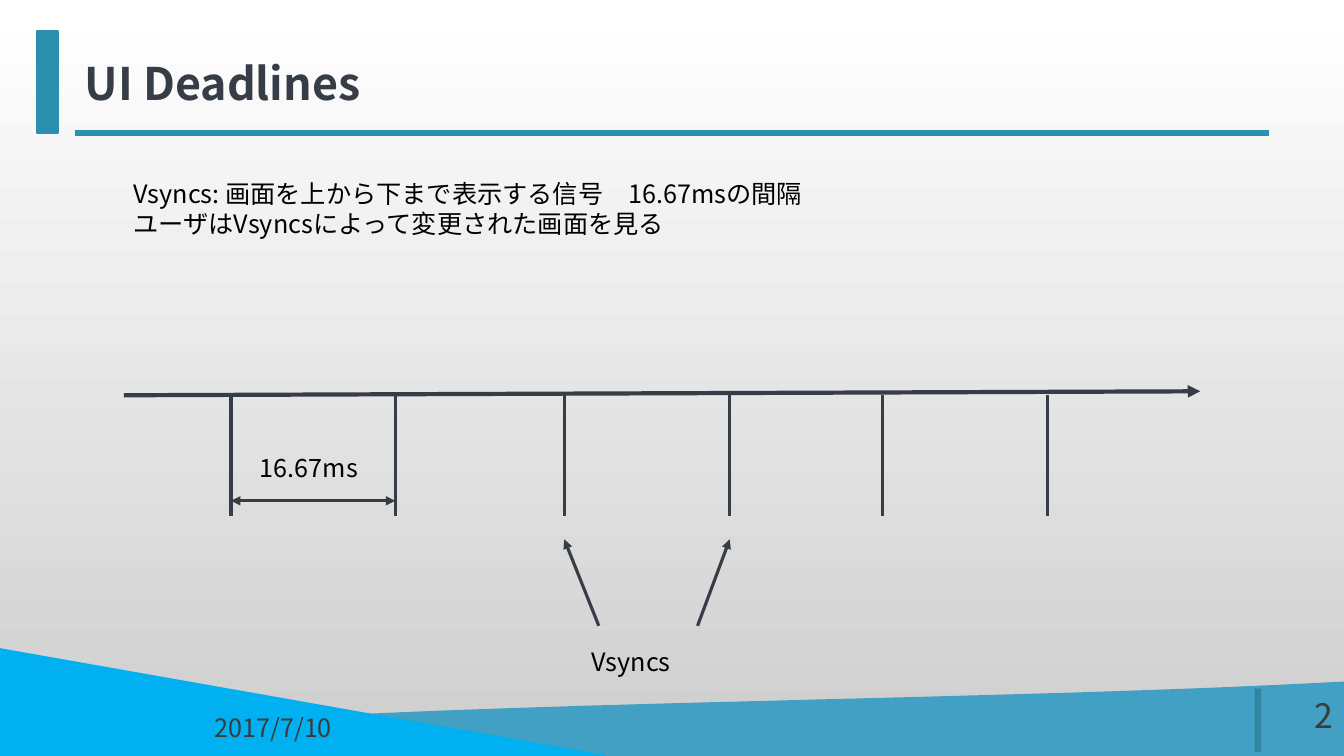
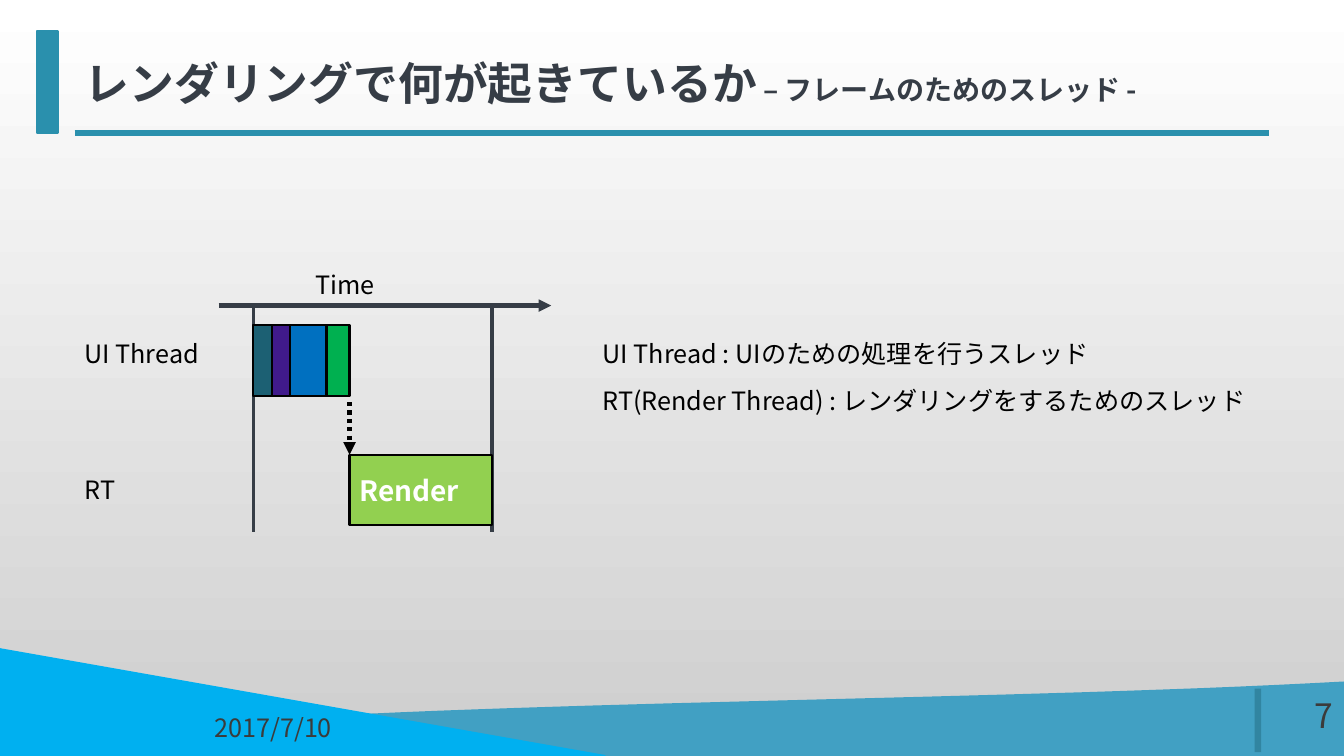
import pptx
import pptx.dml.color
import pptx.enum.dml
import pptx.enum.shapes
import pptx.enum.text
import pptx.oxml
import pptx.oxml.ns
import pptx.util
from pptx.util import Cm

FONT = "Noto Sans CJK JP"
COLORS = {
    "ink": "363D46",
    "black": "000000",
    "white": "FFFFFF",
    "footer": "3B3B3B",
    "background end": "CECECE",
    "accent": "2A90AD",
    "wave": "41A0C3",
    "corner": "00B0F0",
    "deep teal": "1C6073",
    "purple": "401A8B",
    "blue": "0070C0",
    "green": "00B050",
    "lime": "92D050",
}
SHAPES = pptx.enum.shapes.MSO_SHAPE
ALIGN = pptx.enum.text.PP_ALIGN
ANCHOR = pptx.enum.text.MSO_ANCHOR
AUTO_SIZE = pptx.enum.text.MSO_AUTO_SIZE


def rgb(color):
    return pptx.dml.color.RGBColor.from_string(COLORS[color])


def add_element(parent, tag, **attributes):
    element = pptx.oxml.parse_xml(f"<{tag} {pptx.oxml.ns.nsdecls('a')}/>")
    for name, value in attributes.items():
        element.set(name, value)
    parent.append(element)


def style_paragraph(paragraph, size, color, bold=False, align=ALIGN.LEFT):
    paragraph.alignment = align
    font = paragraph.font
    font.size = pptx.util.Pt(size)
    font.bold = bold
    font.color.rgb = rgb(color)
    font.name = FONT
    add_element(font._element, "a:ea", typeface=FONT)


def paint(shape, fill, line):
    shape.shadow.inherit = False
    shape.fill.solid()
    shape.fill.fore_color.rgb = rgb(fill)
    shape.line.color.rgb = rgb(line)
    shape.line.width = pptx.util.Pt(1.5)


def add_box(slide, kind, left, top, width, height, fill, line):
    shape = slide.shapes.add_shape(kind, Cm(left), Cm(top), Cm(width), Cm(height))
    paint(shape, fill, line)
    return shape


def add_line(slide, start, end, width=2.25, color="ink", head=False, tail=False,
             dash=None, opacity=None):
    connector = slide.shapes.add_connector(
        pptx.enum.shapes.MSO_CONNECTOR.STRAIGHT,
        Cm(start[0]), Cm(start[1]), Cm(end[0]), Cm(end[1]))
    line = connector.line
    line.color.rgb = rgb(color)
    line.width = pptx.util.Pt(width)
    if dash:
        line.dash_style = dash
    properties = connector._element.spPr
    outline = properties.find(pptx.oxml.ns.qn("a:ln"))
    if opacity:
        color_element = outline.find(".//" + pptx.oxml.ns.qn("a:srgbClr"))
        add_element(color_element, "a:alpha", val=str(opacity * 1000))
    if head:
        add_element(outline, "a:headEnd", type="triangle")
    if tail:
        add_element(outline, "a:tailEnd", type="triangle")
    add_element(properties, "a:effectLst")


def add_text(slide, left, top, width, lines, height=1.02, size=18, color="black",
             align=ALIGN.LEFT, anchor=ANCHOR.TOP, grow=True):
    box = slide.shapes.add_textbox(Cm(left), Cm(top), Cm(width), Cm(height))
    frame = box.text_frame
    frame.word_wrap = True
    frame.auto_size = AUTO_SIZE.SHAPE_TO_FIT_TEXT if grow else AUTO_SIZE.NONE
    frame.vertical_anchor = anchor
    frame.text = "\n".join(lines)
    for paragraph in frame.paragraphs:
        style_paragraph(paragraph, size, color, align=align)


def add_wave(slide):
    right, bottom, steps = 33.87, 19.05, 40
    controls = [(right, 17.2), (22.58, 17.83), (3.3, 17.65), (0.03, bottom)]
    weights = [1, 3, 3, 1]
    points = []
    for step in range(steps + 1):
        t = step / steps
        factors = [weight * t ** i * (1 - t) ** (3 - i) for i, weight in enumerate(weights)]
        points.append(tuple(
            Cm(sum(factor * control[axis] for factor, control in zip(factors, controls)))
            for axis in (0, 1)))
    builder = slide.shapes.build_freeform(Cm(right), Cm(bottom))
    builder.add_line_segments(points, close=True)
    paint(builder.convert_to_shape(), "wave", "wave")


def set_title(slide, text, small_runs):
    title = slide.shapes.title
    title.left, title.top, title.width, title.height = Cm(1.88), Cm(0.79), Cm(30.1), Cm(2.57)
    frame = title.text_frame
    frame.auto_size = AUTO_SIZE.NONE
    frame.vertical_anchor = ANCHOR.MIDDLE
    paragraph = frame.paragraphs[0]
    style_paragraph(paragraph, 32, "ink", bold=True)
    paragraph.add_run().text = text
    for small_text, size in small_runs:
        run = paragraph.add_run()
        run.text = small_text
        run.font.size = pptx.util.Pt(size)


def add_framed_slide(presentation, title, number, small_runs=()):
    slide = presentation.slides.add_slide(presentation.slide_layouts[5])
    add_wave(slide)
    add_box(slide, SHAPES.RIGHT_TRIANGLE, 0, 16.36, 15.24, 2.69, "corner", "corner")
    add_line(slide, (31.7, 18.95), (31.7, 17.35), 4.5, "deep teal", opacity=41)
    add_line(slide, (1.88, 3.35), (31.98, 3.35), 4.5, "accent")
    add_box(slide, SHAPES.RECTANGLE, 0.94, 0.79, 0.51, 2.57, "accent", "accent")
    set_title(slide, title, small_runs)
    footer = dict(color="footer", align=ALIGN.RIGHT, anchor=ANCHOR.MIDDLE, grow=False)
    add_text(slide, 4.17, 17.81, 4.45, ["2017/7/10"], **footer)
    add_text(slide, 31.7, 17.17, 2.16, [number], height=1.68, size=24, **footer)
    return slide


def add_timeline(slide, start, end, ticks, tick_bottom):
    add_line(slide, start, end, 3, tail=True)
    for x in ticks:
        add_line(slide, (x, start[1]), (x, tick_bottom))


def build_deadlines(presentation):
    slide = add_framed_slide(presentation, "UI Deadlines", "2")
    ticks = [5.82, 9.96, 14.22, 18.39, 22.25, 26.39]
    add_timeline(slide, (3.12, 9.96), (30.25, 9.86), ticks, 13)
    add_text(slide, 6.3, 11.28, 3.28, ["16.67ms"])
    add_line(slide, (ticks[0], 12.62), (ticks[1], 12.62), head=True, tail=True)
    for x, tick in zip((15.09, 17.58), ticks[2:4]):
        add_line(slide, (x, 15.77), (tick, 13.59), tail=True)
    add_text(slide, 14.66, 16.15, 3.28, ["Vsyncs"])
    add_text(slide, 3.12, 4.37, 20.47, [
        "Vsyncs: 画面を上から下まで表示する信号　16.67msの間隔",
        "ユーザはVsyncsによって変更された画面を見る",
    ], height=1.8)


def build_threads(presentation):
    slide = add_framed_slide(
        presentation, "レンダリングで何が起きているか", "7",
        [(" ", 18), ("– フレームのためのスレッド -", 20)])
    frame_start, frame_end, row_height = 6.38, 12.4, 1.78
    add_timeline(slide, (5.51, 7.7), (13.89, 7.7), [frame_start, frame_end], 13.41)
    add_text(slide, 7.7, 6.65, 2.18, ["Time"])

    x = frame_start
    stages = [("deep teal", 0.48), ("purple", 0.46), ("blue", 0.91), ("green", 0.58)]
    for color, width in stages:
        add_box(slide, SHAPES.RECTANGLE, x, 8.2, width, row_height, color, "black")
        x += width

    render = add_box(slide, SHAPES.RECTANGLE, x, 11.46, frame_end - x, row_height,
                     "lime", "black")
    render.text_frame.text = "Render"
    render.text_frame.vertical_anchor = ANCHOR.MIDDLE
    style_paragraph(render.text_frame.paragraphs[0], 20, "white", bold=True)
    add_line(slide, (x, 10.13), (x, 11.46), 3, "black", tail=True,
             dash=pptx.enum.dml.MSO_LINE.ROUND_DOT)

    for left, top, width, text in [
        (1.88, 8.41, 4.17, "UI Thread"),
        (1.88, 11.84, 4.17, "RT"),
        (14.94, 8.41, 16.18, "UI Thread : UIのための処理を行うスレッド"),
        (14.94, 9.58, 17.6, "RT(Render Thread) : レンダリングをするためのスレッド"),
    ]:
        add_text(slide, left, top, width, [text])


def set_background(presentation):
    fill = presentation.slide_master.background.fill
    fill.gradient()
    fill.gradient_angle = 270
    for stop, color, position in zip(fill.gradient_stops, ("white", "background end"), (0, 1)):
        stop.color.rgb = rgb(color)
        stop.position = position


def main():
    presentation = pptx.Presentation()
    presentation.slide_width = Cm(33.87)
    presentation.slide_height = Cm(19.05)
    set_background(presentation)
    build_deadlines(presentation)
    build_threads(presentation)
    presentation.save("out.pptx")


if __name__ == "__main__":
    main()
